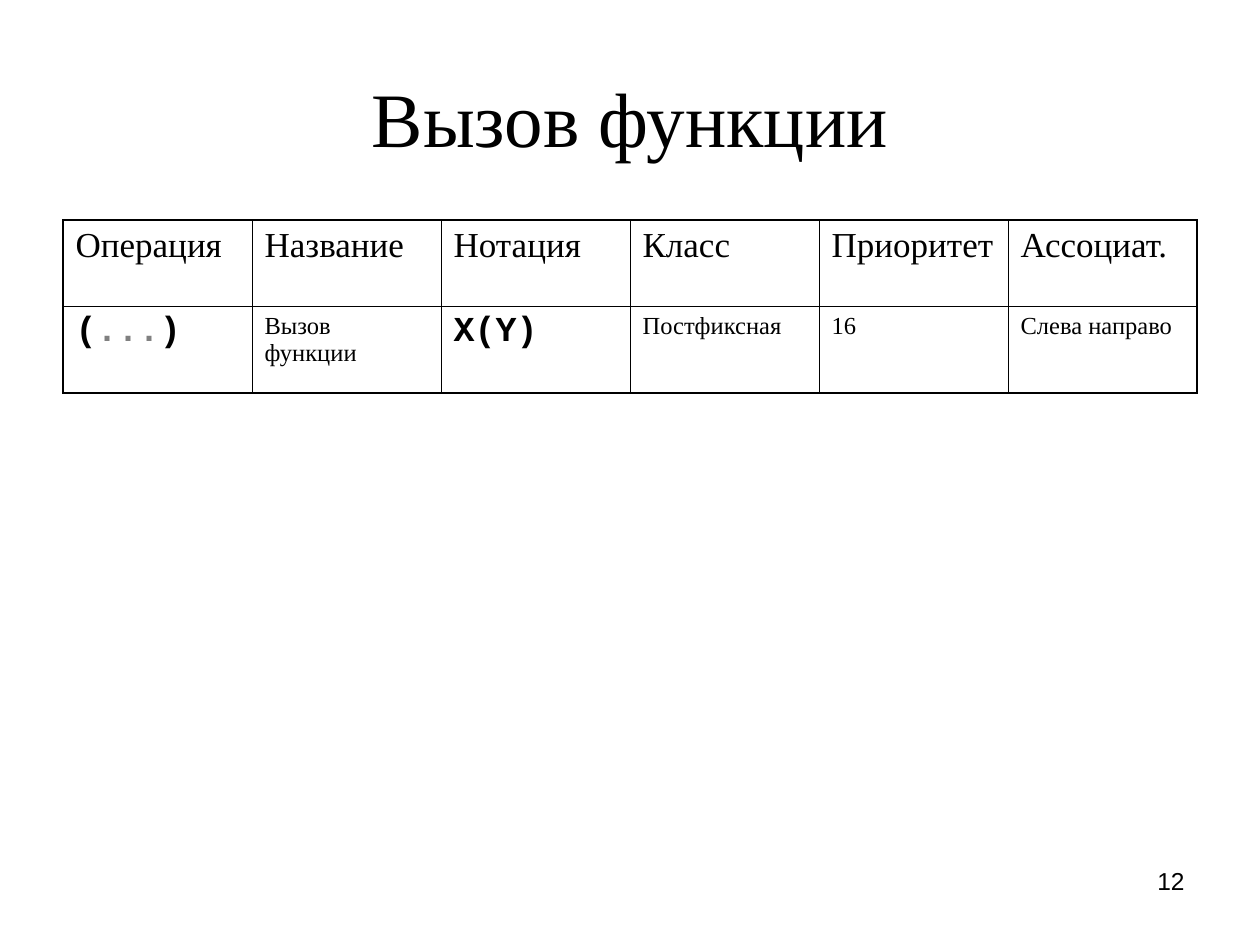
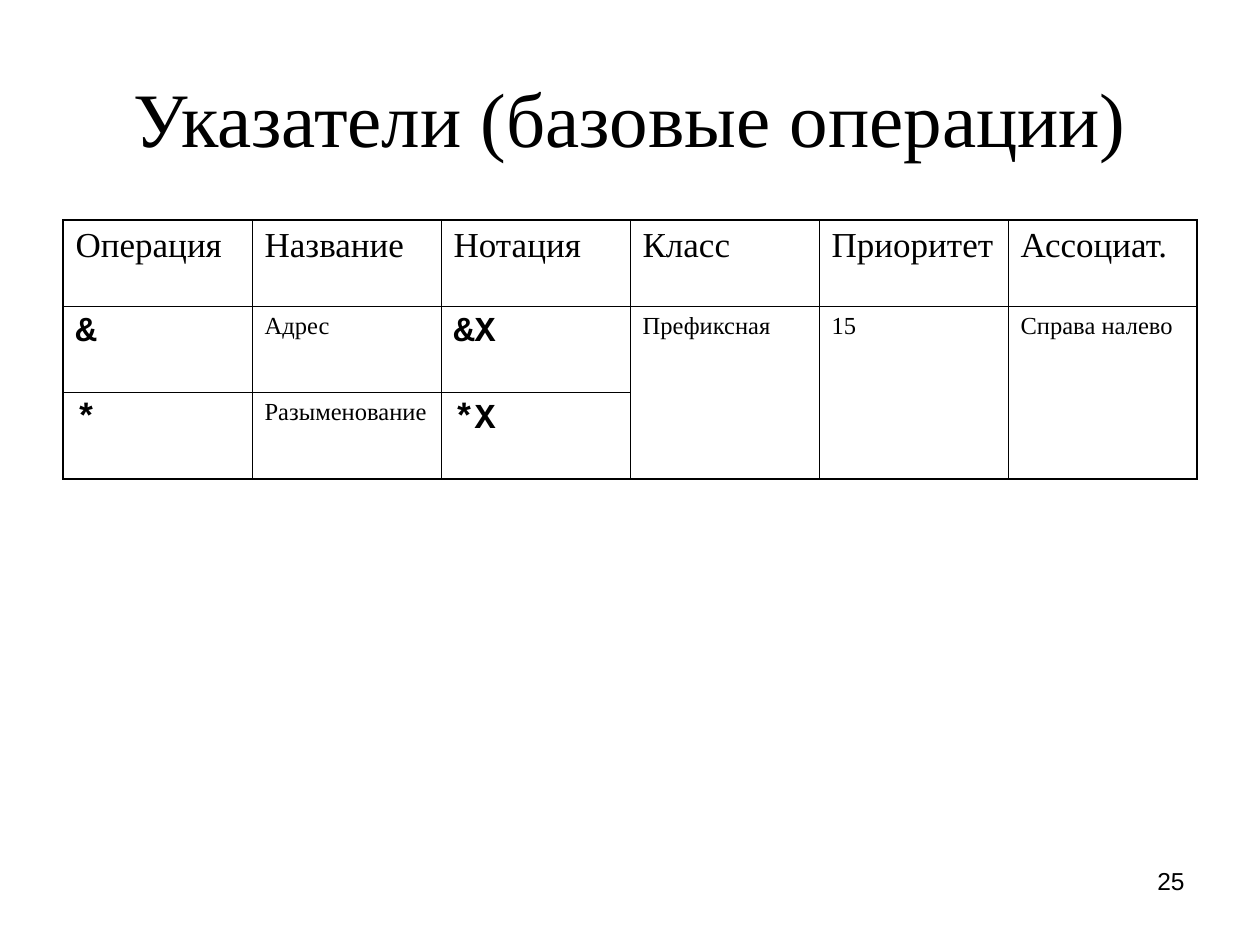
from lxml.etree import SubElement
from pptx import Presentation
from pptx.dml.color import RGBColor
from pptx.enum.text import MSO_ANCHOR, MSO_AUTO_SIZE, PP_ALIGN
from pptx.oxml.ns import qn
from pptx.util import Inches, Pt

COLORS = {"ink": "000000", "muted": "808080", "paper": "FFFFFF"}
SERIF, MONO, SANS = "Times New Roman", "Courier New", "Arial"
WIDTH, HEIGHT = Inches(10), Inches(7.5)
MARGIN = 0.05
TITLE_BOX = (MARGIN, 0.04, 0.9, 1 / 6)
TABLE_BOX = (MARGIN, 0.233, 0.9)
NUMBER_BOX = (0.717, 0.91, 0.233, 0.07)
ROW_HEIGHT = Inches(0.685)
OUTER, INNER = Pt(1.08), Pt(0.45)
HEADINGS = ("Операция", "Название", "Нотация", "Класс", "Приоритет", "Ассоциат.")
CODE_COLUMNS = (0, 2)
SHARED_COLUMNS = (3, 4, 5)
SLIDES = (
    ("Вызов функции", "12", (
        ("(...)", "Вызов функции", "X(Y)", "Постфиксная", "16", "Слева направо"),
    )),
    ("Указатели (базовые операции)", "25", (
        ("&", "Адрес", "&X", "Префиксная", "15", "Справа налево"),
        ("*", "Разыменование", "*X", "", "", ""),
    )),
)


def place(shares):
    """Turn shares of the slide's size into lengths."""
    return [round(share * side) for share, side in zip(shares, (WIDTH, HEIGHT) * 2)]


def style(paragraph, face, size, bold=False):
    """Set the font of a whole paragraph."""
    font = paragraph.font
    font.name, font.size, font.bold = face, Pt(size), bold
    font.color.rgb = RGBColor.from_string(COLORS["ink"])


def add_title(slide, box, wording):
    """Place the centred slide title."""
    title = slide.shapes.title
    title.left, title.top, title.width, title.height = place(box)
    frame = title.text_frame
    frame.text = wording
    frame.auto_size = MSO_AUTO_SIZE.NONE
    frame.vertical_anchor = MSO_ANCHOR.MIDDLE
    frame.paragraphs[0].alignment = PP_ALIGN.CENTER
    style(frame.paragraphs[0], SERIF, 44)


def add_number(slide, box, number):
    """Write the slide number at the lower right."""
    frame = slide.shapes.add_textbox(*place(box)).text_frame
    frame.word_wrap = True
    frame.text = number
    frame.paragraphs[0].alignment = PP_ALIGN.RIGHT
    style(frame.paragraphs[0], SANS, 14)


def rule_cell(cell, widths):
    """Draw the given cell edges and leave the cell unfilled."""
    properties = cell._tc.get_or_add_tcPr()
    for edge, width in widths.items():
        line = SubElement(properties, qn(f"a:ln{edge}"), w=str(width))
        ink = SubElement(line, qn("a:solidFill"))
        SubElement(ink, qn("a:srgbClr"), val=COLORS["ink"])
    cell.fill.background()


def fill_cell(cell, wording, is_heading, is_code):
    """Write a heading, a code sample or a description."""
    paragraph = cell.text_frame.paragraphs[0]
    size = 20 if is_heading or is_code else 14
    paragraph.space_before = Pt(size / 4)
    style(paragraph, MONO if is_code else SERIF, size, is_code)
    for part in filter(None, wording.partition("...")):
        run = paragraph.add_run()
        run.text = part
        if part == "...":
            run.font.color.rgb = RGBColor.from_string(COLORS["muted"])


def add_operations(slide, box, operations):
    """Build the operations table, merging columns that the rows share."""
    rows = (HEADINGS, *operations)
    left, top, width = place(box)
    last_row, last_column = len(rows) - 1, len(HEADINGS) - 1
    table = slide.shapes.add_table(
        len(rows), len(HEADINGS), left, top, width, ROW_HEIGHT * len(rows)).table
    table.first_row = table.horz_banding = False
    if last_row > 1:
        for column in SHARED_COLUMNS:
            table.cell(1, column).merge(table.cell(last_row, column))
    for row, wordings in enumerate(rows):
        for column, wording in enumerate(wordings):
            cell = table.cell(row, column)
            bottom_row = row + cell.span_height - 1 if cell.is_merge_origin else row
            widths = {
                "L": INNER if column else OUTER,
                "R": OUTER if column == last_column else INNER,
                "T": INNER if row else OUTER,
                "B": OUTER if bottom_row == last_row else INNER,
            }
            if cell.is_spanned:
                del widths["T"]
            else:
                fill_cell(cell, wording, row == 0, row > 0 and column in CODE_COLUMNS)
            rule_cell(cell, widths)


def add_operation_slide(deck, title, number, operations):
    """Add one slide with its title, table and number."""
    slide = deck.slides.add_slide(deck.slide_layouts[5])
    slide.background.fill.solid()
    slide.background.fill.fore_color.rgb = RGBColor.from_string(COLORS["paper"])
    add_title(slide, TITLE_BOX, title)
    add_operations(slide, TABLE_BOX, operations)
    add_number(slide, NUMBER_BOX, number)


def main():
    """Build and save the slides."""
    deck = Presentation()
    deck.slide_width, deck.slide_height = WIDTH, HEIGHT
    for content in SLIDES:
        add_operation_slide(deck, *content)
    deck.save("out.pptx")


if __name__ == "__main__":
    main()
